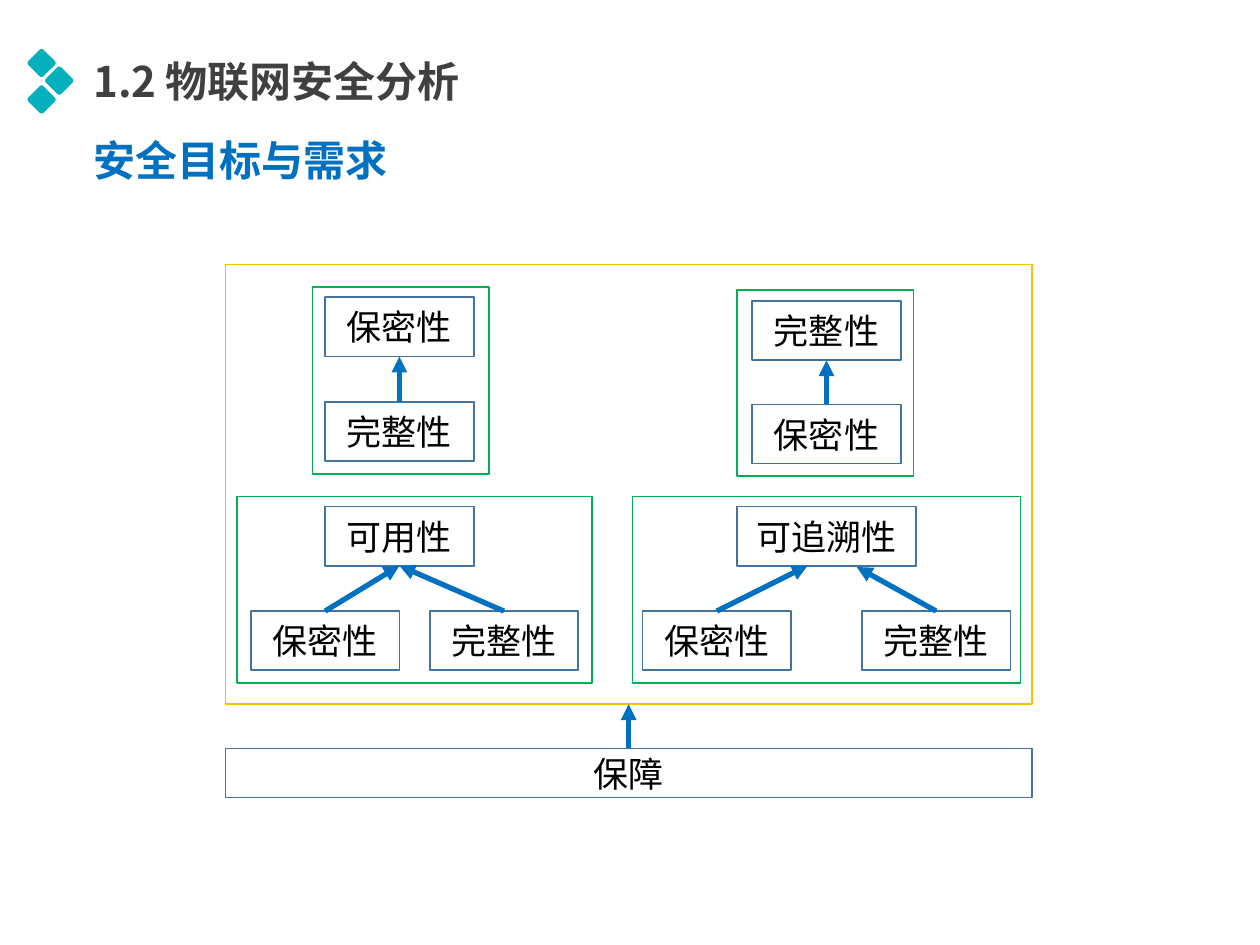
from dataclasses import dataclass

from pptx import Presentation
from pptx.dml.color import RGBColor
from pptx.enum import shapes, text
from pptx.oxml import ns, xmlchemy
from pptx.util import Inches, Pt

HUES = {"head": "404040", "sub": "0070C0", "mark": "04B0BE", "box": "43739E",
        "group": "00B050", "frame": "FFC000", "arrow": "0070C0", "ink": "000000"}
CJK = "Noto Sans CJK SC"
BOX_W, BOX_H = 1.18, 0.47
KINDS = shapes.MSO_SHAPE


@dataclass
class Box:
    left: float
    top: float
    label: str = ""
    width: float = BOX_W
    height: float = BOX_H
    hue: str = "box"


@dataclass
class Group:
    frame: Box
    goal: Box
    needs: list[Box]
    tips: list[tuple[float, float]] | None = None  # arrow tips off the goal's middle


def rgb(hue: str) -> RGBColor:
    return RGBColor.from_string(HUES[hue])


def place(shape, left: float, top: float, width: float, height: float) -> None:
    shape.left, shape.top = Inches(left), Inches(top)
    shape.width, shape.height = Inches(width), Inches(height)


def write(shape, words: str, *, size: int = 20, font: str = "Calibri",
          hue: str = "ink", bold: bool = False,
          align=text.PP_ALIGN.CENTER) -> None:
    para = shape.text_frame.paragraphs[0]
    para.alignment = align
    run = para.add_run()
    run.text = words
    run.font.name, run.font.size, run.font.bold = font, Pt(size), bold
    run.font.color.rgb = rgb(hue)
    east = xmlchemy.OxmlElement("a:ea")
    east.set("typeface", CJK)
    run.font._element.find(ns.qn("a:latin")).addnext(east)


def head(shape, words: str, hue: str, top: float, width: float) -> None:
    place(shape, 0.67, top, width, 0.48)
    frame = shape.text_frame
    frame.word_wrap = True
    frame.auto_size = text.MSO_AUTO_SIZE.SHAPE_TO_FIT_TEXT
    frame.vertical_anchor = text.MSO_ANCHOR.TOP
    frame.margin_left = frame.margin_right = Inches(0.07)
    frame.margin_top = frame.margin_bottom = Inches(0.04)
    write(shape, words, size=24, font=CJK, hue=hue, bold=True,
          align=text.PP_ALIGN.LEFT)


def draw(slide, box: Box):
    shape = slide.shapes.add_shape(KINDS.RECTANGLE, 0, 0, 0, 0)
    place(shape, box.left, box.top, box.width, box.height)
    shape.shadow.inherit = False
    shape.fill.background()
    shape.line.color.rgb = rgb(box.hue)
    shape.line.width = Pt(1)
    if box.label:
        shape.text_frame.vertical_anchor = text.MSO_ANCHOR.MIDDLE
        write(shape, box.label)
    return shape


def link(slide, upper, lower, tip: tuple[float, float] | None = None) -> None:
    """Arrow pointing from the top of lower to the bottom of upper, or to tip."""
    x, y = tip or (0, 0)
    arrow = slide.shapes.add_connector(
        shapes.MSO_CONNECTOR.STRAIGHT, Inches(x), Inches(y), Inches(x), Inches(y))
    if tip is None:
        arrow.begin_connect(upper, 2)
    arrow.end_connect(lower, 0)
    arrow.line.color.rgb = rgb("arrow")
    arrow.line.width = Pt(3)
    point = xmlchemy.OxmlElement("a:headEnd")
    point.set("type", "triangle")
    arrow.line._get_or_add_ln().append(point)
    arrow._element.spPr.append(xmlchemy.OxmlElement("a:effectLst"))


def mark(slide, x: float, y: float, side: float = 0.17) -> None:
    gem = slide.shapes.add_shape(KINDS.ROUNDED_RECTANGLE, 0, 0, 0, 0)
    place(gem, x - side / 2, y - side / 2, side, side)
    gem.adjustments[0] = 0.12
    gem.rotation = 45
    gem.shadow.inherit = False
    gem.fill.solid()
    gem.fill.fore_color.rgb = rgb("mark")
    gem.line.fill.background()


def ring(left: float, top: float, width: float) -> Box:
    return Box(left, top, width=width, height=1.48, hue="group")


GROUPS = [
    Group(ring(2.48, 2.28, 1.4), Box(2.58, 2.36, "保密性"),
          [Box(2.58, 3.19, "完整性")]),
    Group(ring(5.85, 2.3, 1.4), Box(5.97, 2.39, "完整性"),
          [Box(5.97, 3.21, "保密性")]),
    Group(ring(1.88, 3.94, 2.82), Box(2.58, 4.02, "可用性"),
          [Box(1.99, 4.85, "保密性"), Box(3.41, 4.85, "完整性")]),
    Group(ring(5.02, 3.94, 3.08), Box(5.85, 4.02, "可追溯性", width=1.42),
          [Box(5.1, 4.85, "保密性"), Box(6.84, 4.85, "完整性")],
          [(6.41, 4.49), (6.8, 4.5)]),
]


def main() -> None:
    deck = Presentation()
    deck.slide_width, deck.slide_height = Inches(10), Inches(7.5)
    slide = deck.slides.add_slide(deck.slide_layouts[5])

    # Headings and the three-gem mark
    head(slide.shapes.title, "1.2 物联网安全分析", "head", 0.4, 3.45)
    head(slide.shapes.add_textbox(0, 0, 0, 0), "安全目标与需求", "sub", 1.03, 2.56)
    for x, y in [(0.33, 0.5), (0.47, 0.64), (0.33, 0.79)]:
        mark(slide, x, y)

    # Outer frame resting on its base
    frame = draw(slide, Box(1.79, 2.1, width=6.4, height=3.49, hue="frame"))
    base = draw(slide, Box(1.79, 5.94, "保障", width=6.4, height=0.39))
    link(slide, frame, base)

    # Each goal with the needs below it
    for group in GROUPS:
        draw(slide, group.frame)
        goal = draw(slide, group.goal)
        tips = group.tips or [None] * len(group.needs)
        for need, tip in zip(group.needs, tips):
            link(slide, goal, draw(slide, need), tip)

    deck.save("out.pptx")


if __name__ == "__main__":
    main()
